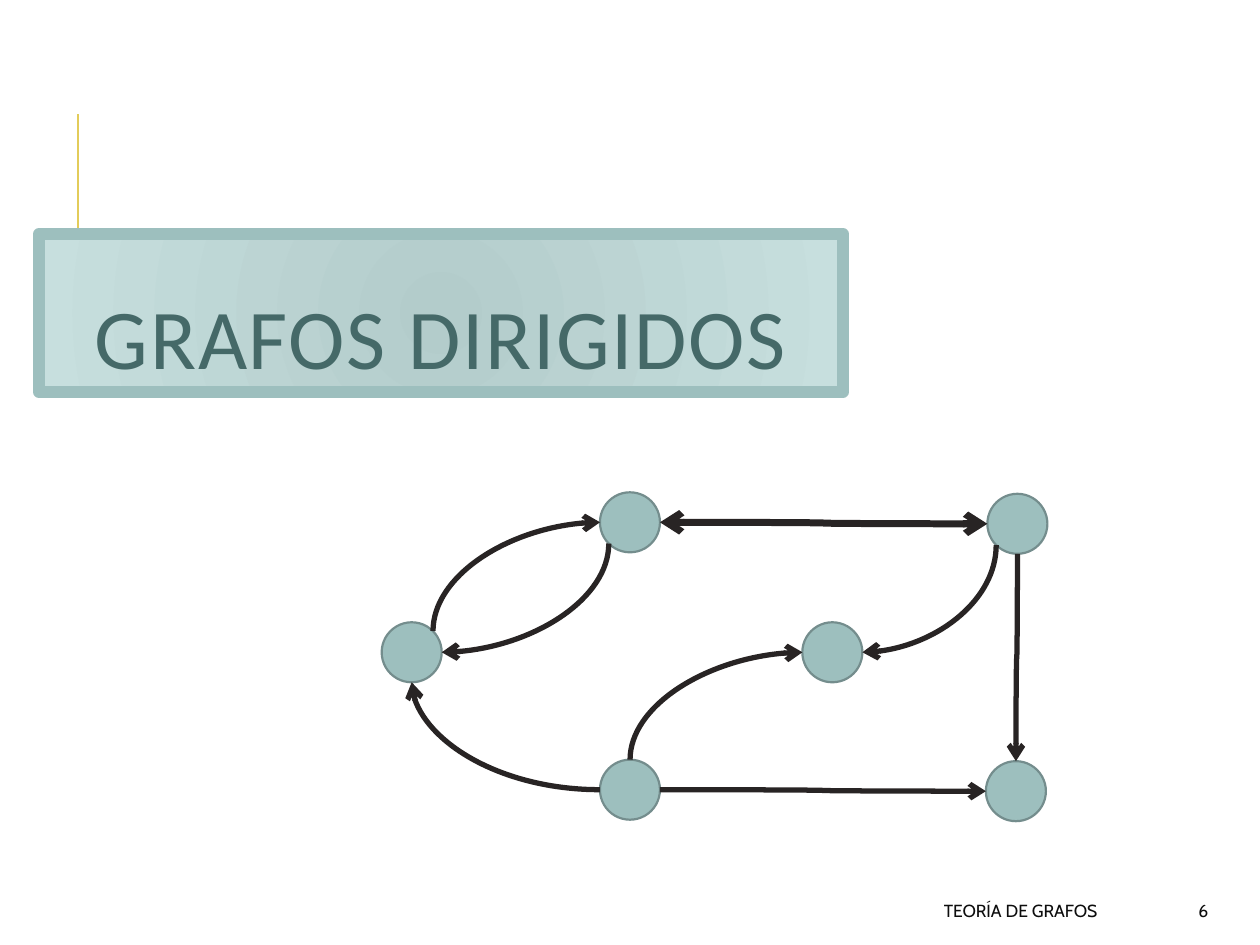
from dataclasses import dataclass
from math import sqrt

from lxml import etree
from pptx import Presentation
from pptx.dml.color import RGBColor
from pptx.enum import shapes, text
from pptx.oxml import parse_xml
from pptx.oxml.ns import nsdecls, qn
from pptx.util import Cm, Pt


@dataclass(frozen=True)
class Theme:
    accent: str = "E3CC5A"
    banner_inner: str = "B3CCCB"
    banner_outer: str = "C7DFDE"
    node: str = "9DBFBE"
    node_border: str = "748D8D"
    edge: str = "282424"
    heading: str = "456968"
    footer: str = "0D0D0D"
    heading_font: str = "Calibri"
    footer_font: str = "Cabin"
    heading_size: float = 48.6
    footer_size: float = 10


THEME = Theme()
NODE_SIZE = 1.21
VERTICES = {
    "left": (8.3, 13.15),
    "top": (12.7, 10.53),
    "bottom": (12.7, 15.92),
    "middle": (16.78, 13.15),
    "lower_right": (20.48, 15.95),
    "upper_right": (20.51, 10.56),
}
DIAGONAL = 1 / sqrt(2)
SITES = {
    "n": (0, -1), "s": (0, 1), "w": (-1, 0), "e": (1, 0),
    "ne": (DIAGONAL, -DIAGONAL), "sw": (-DIAGONAL, DIAGONAL),
}
EDGES = [
    ("left", "ne", "top", "w"),
    ("bottom", "n", "middle", "w"),
    ("upper_right", "s", "lower_right", "n"),
    ("upper_right", "sw", "middle", "e"),
    ("bottom", "e", "lower_right", "w"),
    ("top", "sw", "left", "e"),
    ("bottom", "w", "left", "s"),
]


def color(value):
    return RGBColor.from_string(value)


def place(shape, left, top, width, height):
    shape.left, shape.top = Cm(left), Cm(top)
    shape.width, shape.height = Cm(width), Cm(height)


def write(paragraph, words, font, size, ink):
    run = paragraph.add_run()
    run.text = words
    run.font.name, run.font.size = font, Pt(size)
    run.font.color.rgb = color(ink)
    return run


def outline(shape, ink, width):
    shape.line.color.rgb = color(ink)
    shape.line.width = Pt(width)


def add_line(slide, kind, start, end, ink, width):
    line = slide.shapes.add_connector(kind, *(Cm(v) for v in (*start, *end)))
    outline(line, ink, width)
    etree.SubElement(line._element.spPr, qn("a:effectLst"))
    return line


def add_title(slide):
    banner = slide.shapes.title
    place(banner, 0.79, 4.72, 16.2, 3.18)
    outline(banner, THEME.node, 7)
    stops = "".join(
        f'<a:gs pos="{pos}"><a:srgbClr val="{ink}"/></a:gs>'
        for pos, ink in ((0, THEME.banner_inner), (100000, THEME.banner_outer)))
    gradient = parse_xml(
        f'<a:gradFill {nsdecls("a")} rotWithShape="1"><a:gsLst>{stops}</a:gsLst>'
        '<a:path path="circle"><a:fillToRect l="100000" t="100000" '
        'r="100000" b="100000"/></a:path></a:gradFill>')
    banner._element.spPr.find(qn("a:ln")).addprevious(gradient)
    frame = banner.text_frame
    frame.auto_size = text.MSO_AUTO_SIZE.NONE
    frame.vertical_anchor = text.MSO_ANCHOR.BOTTOM
    paragraph = frame.paragraphs[0]
    paragraph.alignment = text.PP_ALIGN.CENTER
    paragraph.line_spacing = 0.8
    run = write(paragraph, "GRAFOS DIRIGIDOS", THEME.heading_font,
                THEME.heading_size, THEME.heading)
    run.font._element.set("spc", "100")


def add_accent(slide):
    accent = add_line(slide, shapes.MSO_CONNECTOR.STRAIGHT,
                      (1.57, 4.83), (1.57, 2.29), THEME.accent, 1.5)
    slide.shapes.title._element.addprevious(accent._element)


def add_footer(slide, words, left, width):
    footer = slide.shapes.add_textbox(Cm(left), Cm(17.98), Cm(width), Cm(0.76))
    frame = footer.text_frame
    frame.word_wrap = True
    frame.vertical_anchor = text.MSO_ANCHOR.MIDDLE
    frame.paragraphs[0].alignment = text.PP_ALIGN.RIGHT
    write(frame.paragraphs[0], words, THEME.footer_font,
          THEME.footer_size, THEME.footer)


def add_vertex(slide, center):
    left, top = (v - NODE_SIZE / 2 for v in center)
    vertex = slide.shapes.add_shape(
        shapes.MSO_SHAPE.OVAL, Cm(left), Cm(top), Cm(NODE_SIZE), Cm(NODE_SIZE))
    vertex.shadow.inherit = False
    vertex.fill.solid()
    vertex.fill.fore_color.rgb = color(THEME.node)
    outline(vertex, THEME.node_border, 1.25)


def site_point(vertex, site):
    return [c + d * NODE_SIZE / 2 for c, d in zip(VERTICES[vertex], SITES[site])]


def add_edge(slide, source, leaving, target, entering, width=3, ends=("tailEnd",)):
    (x1, y1), (x2, y2) = site_point(source, leaving), site_point(target, entering)
    starts_vertical = leaving not in "ew"
    ends_vertical = entering not in "ew"
    start, end = (x1, y1), (x2, y2)
    if starts_vertical:
        cx, cy = (x1 + x2) / 2, (y1 + y2) / 2
        dx, dy = (x2 - x1) / 2, (y2 - y1) / 2
        start, end = (cx - dy, cy + dx), (cx + dy, cy - dx)
    edge = add_line(slide, shapes.MSO_CONNECTOR.CURVE, start, end, THEME.edge, width)
    properties = edge._element.spPr
    if starts_vertical:
        properties.find(qn("a:xfrm")).set("rot", "5400000")
    if starts_vertical != ends_vertical:
        properties.find(qn("a:prstGeom")).set("prst", "curvedConnector2")
    for arrowhead in ends:
        etree.SubElement(properties.find(qn("a:ln")), qn(f"a:{arrowhead}"), type="arrow")


def main():
    deck = Presentation()
    deck.slide_width, deck.slide_height = Cm(25.4), Cm(19.05)
    slide = deck.slides.add_slide(deck.slide_layouts[5])
    add_title(slide)
    add_accent(slide)
    add_footer(slide, "6", 22.58, 2.03)
    add_footer(slide, "TEORÍA DE GRAFOS", 10.08, 12.29)
    for center in VERTICES.values():
        add_vertex(slide, center)
    for edge in EDGES:
        add_edge(slide, *edge)
    add_edge(slide, "top", "e", "upper_right", "w", 4, ("headEnd", "tailEnd"))
    deck.save("out.pptx")


main()
